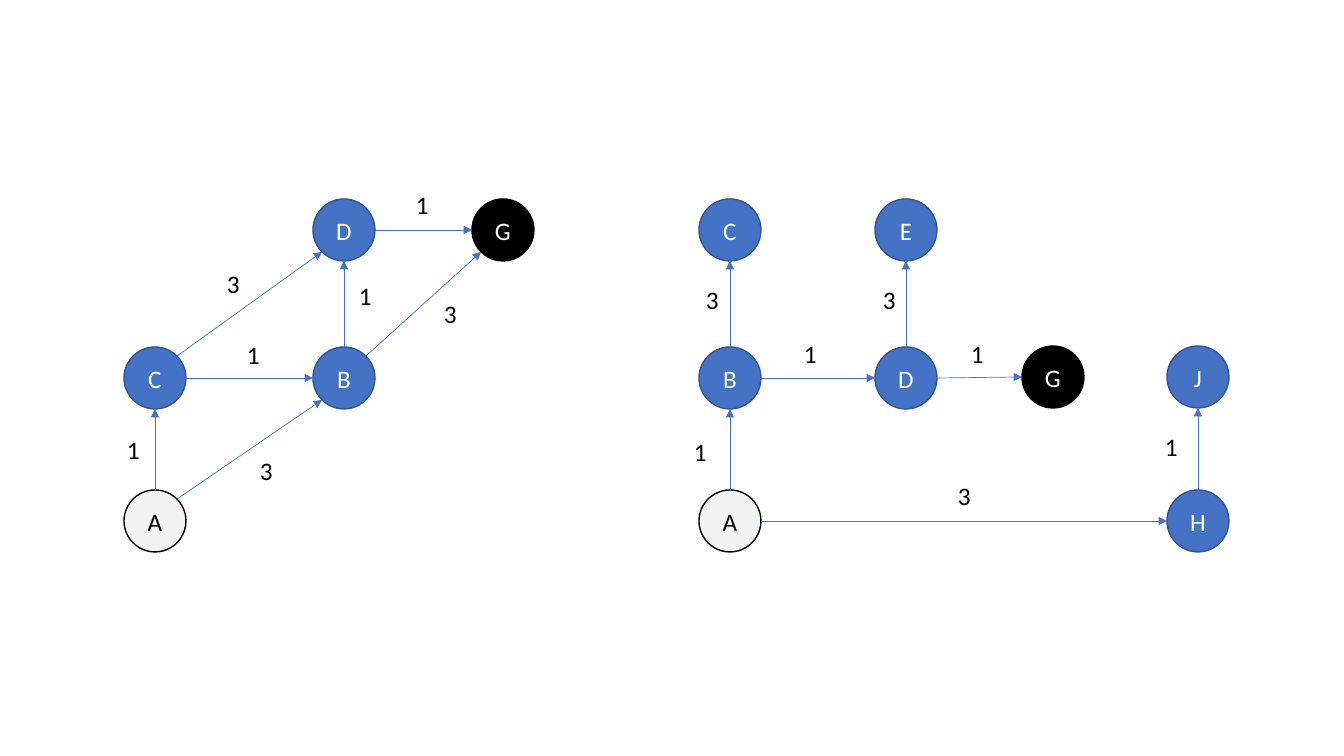
from math import atan2, cos, pi, sin

from lxml.etree import SubElement
from pptx import Presentation
from pptx.dml.color import RGBColor
from pptx.enum.shapes import MSO_CONNECTOR as Connector, MSO_SHAPE as Shape
from pptx.enum.text import MSO_ANCHOR as Anchor, MSO_AUTO_SIZE as AutoSize, PP_ALIGN as Align
from pptx.oxml.ns import qn
from pptx.util import Pt

EMU_PER_PIXEL = 914400 / 100.8
SLIDE_WIDTH, SLIDE_HEIGHT = 1344, 756
RADIUS = 31
LABEL_WIDTH, LABEL_HEIGHT = 33, 40

BLACK = RGBColor(0x00, 0x00, 0x00)
WHITE = RGBColor(0xFF, 0xFF, 0xFF)
BLUE = RGBColor(0x44, 0x72, 0xC4)
DARK_BLUE = RGBColor(0x32, 0x54, 0x91)
LIGHT_GRAY = RGBColor(0xF2, 0xF2, 0xF2)

# Fill, outline and text colour of the start, goal and other nodes
NODE_STYLES = {"A": (LIGHT_GRAY, BLACK, BLACK), "G": (BLACK, BLACK, WHITE)}
INNER_STYLE = (BLUE, DARK_BLUE, WHITE)

# Node centres, then edges as (from, to, cost, label left, label top)
GRAPH_NODES = {"A": (155, 521), "B": (344, 378), "C": (155, 378),
               "D": (344, 230), "G": (503, 230)}
GRAPH_EDGES = [
    ("A", "C", 1, 117, 429), ("A", "B", 3, 250, 450), ("C", "B", 1, 237, 334),
    ("C", "D", 3, 217, 263), ("B", "D", 1, 349, 275), ("B", "G", 3, 434, 293),
    ("D", "G", 1, 406, 184),
]
TREE_NODES = {"B": (730, 378), "C": (730, 230), "D": (906, 378), "E": (906, 230),
              "H": (1198, 521), "J": (1198, 377), "G": (1053, 377), "A": (730, 521)}
TREE_EDGES = [
    ("A", "B", 1, 684, 431), ("B", "C", 3, 696, 279), ("B", "D", 1, 794, 333),
    ("D", "G", 1, 961, 333), ("A", "H", 3, 948, 475), ("H", "J", 1, 1155, 426),
    ("D", "E", 3, 873, 279),
]


def px(*lengths):
    return [round(length * EMU_PER_PIXEL) for length in lengths]


def set_text(shape, text, color, align):
    shape.text_frame.text = text
    paragraph = shape.text_frame.paragraphs[0]
    paragraph.alignment = align
    font = paragraph.runs[0].font
    font.name, font.size = "Calibri", Pt(18)
    font.color.rgb = color


def add_node(shapes, name, center):
    fill, outline, text_color = NODE_STYLES.get(name, INNER_STYLE)
    x, y = center
    node = shapes.add_shape(
        Shape.OVAL, *px(x - RADIUS, y - RADIUS, 2 * RADIUS, 2 * RADIUS))
    node.shadow.inherit = False
    node.fill.solid()
    node.fill.fore_color.rgb = fill
    node.line.color.rgb = outline
    node.line.width = Pt(1)
    node.text_frame.vertical_anchor = Anchor.MIDDLE
    set_text(node, name, text_color, Align.CENTER)
    return node


def site_point(center, site):
    """Connection sites run counterclockwise from the top in steps of 45 degrees."""
    angle = pi / 2 + site * pi / 4
    return center[0] + RADIUS * cos(angle), center[1] - RADIUS * sin(angle)


def add_arrow(shapes, start, end, start_node, end_node):
    direction = atan2(start[1] - end[1], end[0] - start[0])
    start_site = round((direction - pi / 2) / (pi / 4)) % 8
    end_site = (start_site + 4) % 8
    arrow = shapes.add_connector(
        Connector.STRAIGHT,
        *px(*site_point(start, start_site), *site_point(end, end_site)))
    arrow.line.color.rgb = BLUE
    arrow.line.width = Pt(0.5)
    # Arrowhead, no shadow, and ends attached to the nodes
    SubElement(arrow.line._get_or_add_ln(), qn("a:tailEnd"), type="triangle")
    SubElement(arrow._element.spPr, qn("a:effectLst"))
    attachments = arrow._element.find(".//" + qn("p:cNvCxnSpPr"))
    for tag, node, site in (("a:stCxn", start_node, start_site),
                            ("a:endCxn", end_node, end_site)):
        SubElement(attachments, qn(tag), id=str(node.shape_id), idx=str(site))


def add_cost(shapes, cost, left, top):
    label = shapes.add_textbox(*px(left, top, LABEL_WIDTH, LABEL_HEIGHT))
    label.text_frame.word_wrap = False
    label.text_frame.auto_size = AutoSize.SHAPE_TO_FIT_TEXT
    set_text(label, str(cost), BLACK, Align.LEFT)


def add_graph(slide, centers, edges):
    shapes = slide.shapes.add_group_shape().shapes
    nodes = {name: add_node(shapes, name, center) for name, center in centers.items()}
    for start, end, *_ in edges:
        add_arrow(shapes, centers[start], centers[end], nodes[start], nodes[end])
    for _, _, cost, left, top in edges:
        add_cost(shapes, cost, left, top)


def main():
    presentation = Presentation()
    presentation.slide_width, presentation.slide_height = px(SLIDE_WIDTH, SLIDE_HEIGHT)
    slide = presentation.slides.add_slide(presentation.slide_layouts[6])

    # Weighted graph on the left, search tree on the right
    add_graph(slide, GRAPH_NODES, GRAPH_EDGES)
    add_graph(slide, TREE_NODES, TREE_EDGES)

    presentation.save("out.pptx")


main()
